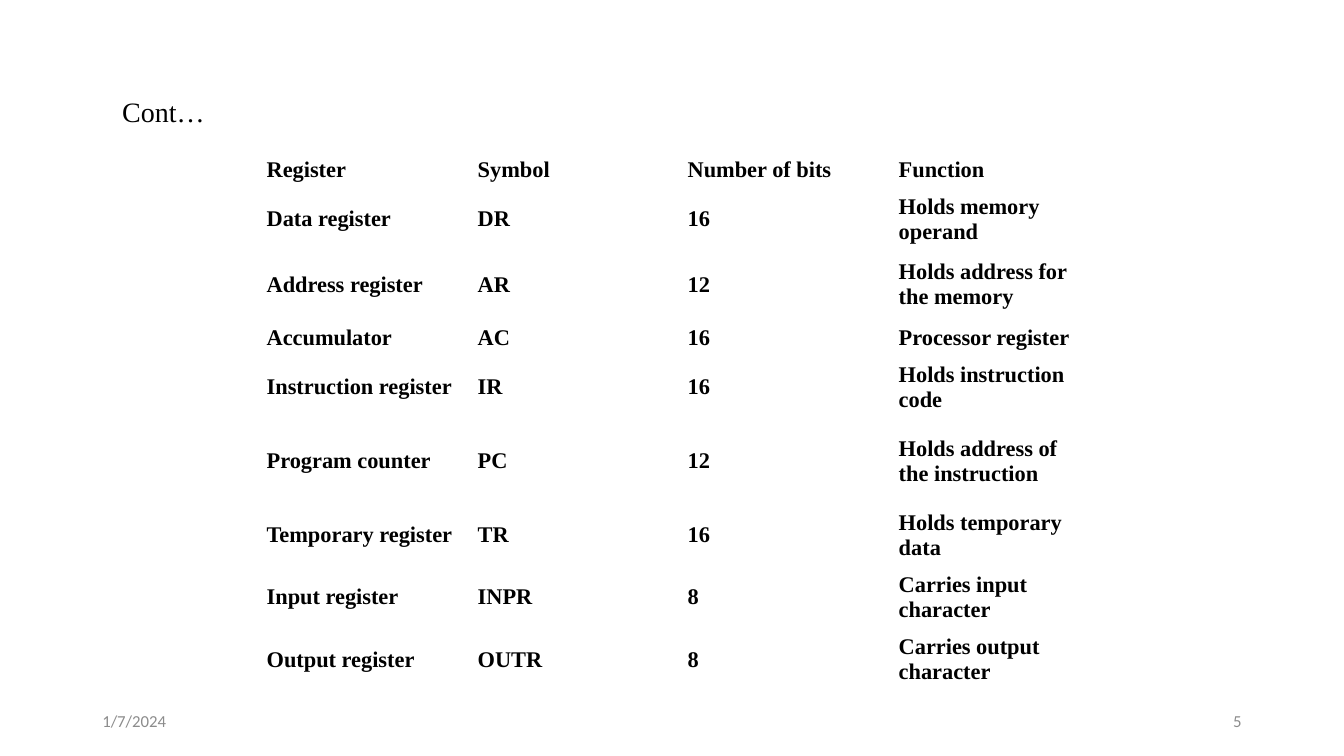
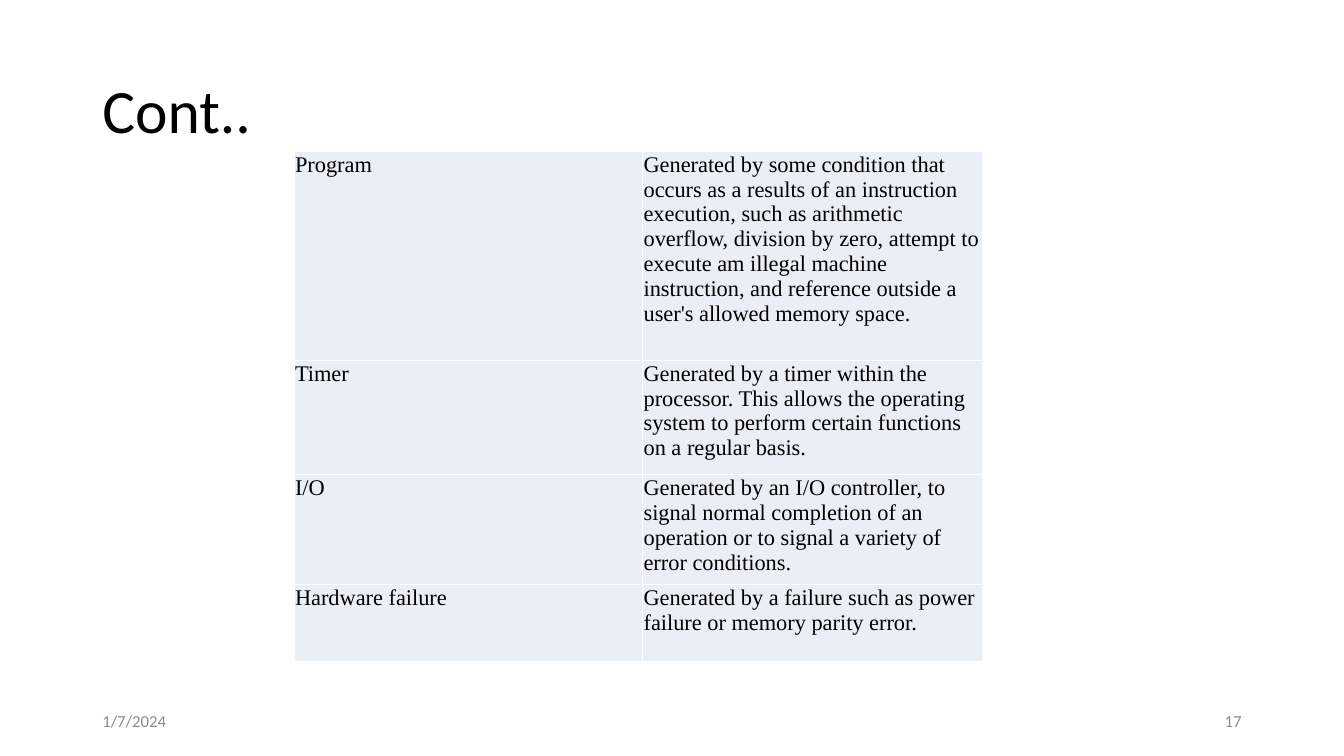
from lxml import etree
from pptx import Presentation, util as u
from pptx.dml.color import RGBColor
from pptx.enum import text
from pptx.oxml.ns import qn

BLACK = RGBColor(0x00, 0x00, 0x00)
GREY = RGBColor(0x8C, 0x8C, 0x8C)
WHITE = RGBColor(0xFF, 0xFF, 0xFF)
PALE_BLUE = RGBColor(0xEA, 0xEF, 0xF7)
SANS, SERIF = "Calibri", "Times New Roman"
NO_STYLE = "{2D5ABB26-0587-4C30-8999-92F81FD0307C}"
MIDDLE, TOP = text.MSO_ANCHOR.MIDDLE, text.MSO_ANCHOR.TOP
LEFT, RIGHT = text.PP_ALIGN.LEFT, text.PP_ALIGN.RIGHT

REGISTERS = [
    (35, "Register", "Symbol", "Number of bits", "Function"),
    (51, "Data register", "DR", "16", "Holds memory operand"),
    (66, "Address register", "AR", "12", "Holds address for the memory"),
    (35, "Accumulator", "AC", "16", "Processor register"),
    (51, "Instruction register", "IR", "16", "Holds instruction code"),
    (82, "Program counter", "PC", "12", "Holds address of the instruction"),
    (51, "Temporary register", "TR", "16", "Holds temporary data"),
    (51, "Input register", "INPR", "8", "Carries input character"),
    (51, "Output register", "OUTR", "8", "Carries output character"),
]
INTERRUPTS = [
    (199, "Program", "Generated by some condition that occurs as a results of an "
     "instruction execution, such as arithmetic overflow, division by zero, attempt "
     "to execute am illegal machine instruction, and reference outside a user's "
     "allowed memory space."),
    (109, "Timer", "Generated by a timer within the processor. This allows the "
     "operating system to perform certain functions on a regular basis."),
    (74, "I/O", "Generated by an I/O controller, to signal normal completion of an "
     "operation or to signal a variety of error conditions."),
    (74, "Hardware failure", "Generated by a failure such as power failure or memory "
     "parity error."),
]


def px(n):
    return u.Emu(n * 9525)


class Deck:
    """Lecture deck style together with the slide being built."""

    def __init__(self):
        self.prs = Presentation()
        self.prs.slide_width, self.prs.slide_height = px(1280), px(720)

    def new_slide(self, number):
        self.s = self.prs.slides.add_slide(self.prs.slide_layouts[6])
        self.label("1/7/2024", 88, 667, 288, 38, 12, color=GREY)
        self.label(str(number), 904, 667, 288, 38, 12, color=GREY, align=RIGHT)

    def style(self, p, size, font, color, bold=False):
        p.font.name, p.font.bold = font, bold
        p.font.color.rgb = color
        for target in (p, *p.runs):
            target.font.size = u.Pt(size)
        end = etree.SubElement(p._p, qn("a:endParaRPr"), sz=str(size * 100))
        etree.SubElement(end, qn("a:latin"), typeface=font)

    def label(self, words, x, y, w, h, size, font=SANS, color=BLACK, align=LEFT):
        tf = self.s.shapes.add_textbox(px(x), px(y), px(w), px(h)).text_frame
        tf.word_wrap, tf.vertical_anchor = True, MIDDLE
        p = tf.paragraphs[0]
        p.text, p.alignment = words, align
        self.style(p, size, font, color)
        return p

    def title(self, words, size=44, font=SANS, indent=0):
        p = self.label(words, 88, 39, 1104, 139, size, font)
        p.line_spacing = 0.9
        p._p.get_or_add_pPr().set("marL", str(px(indent)))

    def table(self, rows, x, y, widths, margins, anchor=TOP, bold=False, fill=None):
        heights = [row[0] for row in rows]
        frame = self.s.shapes.add_table(len(rows), len(widths), px(x), px(y),
                                        px(sum(widths)), px(sum(heights)))
        table = frame.table
        table.first_row = table.horz_banding = False
        table._tbl.tblPr.find(qn("a:tableStyleId")).text = NO_STYLE
        for column, width in zip(table.columns, widths):
            column.width = px(width)
        for row, (height, *words) in zip(table.rows, rows):
            row.height = px(height)
            for cell, content in zip(row.cells, words):
                self.cell(cell, content, margins, anchor, bold, fill)

    def cell(self, cell, words, margins, anchor, bold, fill):
        cell.margin_left = cell.margin_right = px(margins[0])
        cell.margin_top = cell.margin_bottom = px(margins[1])
        cell.vertical_anchor = anchor
        p = cell.text_frame.paragraphs[0]
        p.text = words
        self.style(p, 16, SERIF, BLACK, bold)
        if fill is None:
            cell.fill.background()
            return
        self.borders(cell)
        cell.fill.solid()
        cell.fill.fore_color.rgb = fill

    def borders(self, cell):
        tc_pr = cell._tc.get_or_add_tcPr()
        for side in ("lnL", "lnR", "lnT", "lnB"):
            ln = etree.SubElement(tc_pr, qn("a:" + side), w=str(u.Pt(1)))
            solid = etree.SubElement(ln, qn("a:solidFill"))
            etree.SubElement(solid, qn("a:srgbClr"), val=str(WHITE))


def main():
    deck = Deck()

    deck.new_slide(5)
    deck.title("Cont…", size=20, font=SERIF, indent=19)
    deck.table(REGISTERS, 245, 144, [201, 200, 201, 201], (9, 4), anchor=MIDDLE, bold=True)

    deck.new_slide(17)
    deck.table(INTERRUPTS, 280, 144, [332, 324], (1, 1), fill=PALE_BLUE)
    deck.title("Cont..")

    deck.prs.save("out.pptx")


if __name__ == "__main__":
    main()
